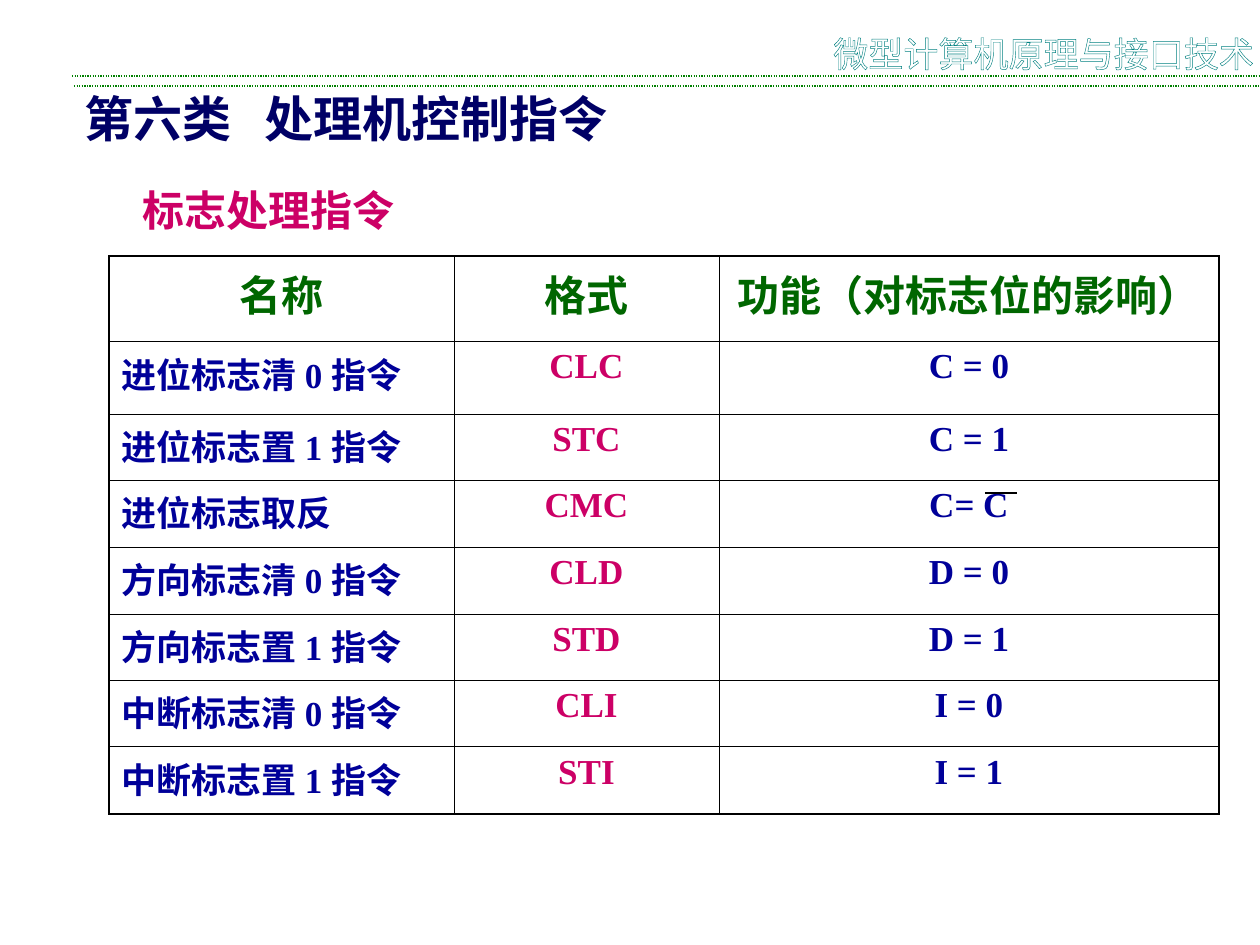
from pptx import Presentation
from pptx.dml.color import RGBColor
from pptx.enum.dml import MSO_LINE
from pptx.enum.shapes import MSO_CONNECTOR
from pptx.enum.text import PP_ALIGN
from pptx.oxml.ns import qn
from pptx.util import Pt
from lxml import etree

STRAIGHT = MSO_CONNECTOR.STRAIGHT
DOTTED = MSO_LINE.ROUND_DOT
LEFT, CENTER = PP_ALIGN.LEFT, PP_ALIGN.CENTER

WHITE = RGBColor(0xFF, 0xFF, 0xFF)
BLACK = RGBColor(0, 0, 0)
TEAL = RGBColor(0, 0x80, 0x80)
GREEN = RGBColor(0, 0x80, 0)
DARK_GREEN = RGBColor(0, 0x66, 0)
NAVY = RGBColor(0, 0, 0x66)
BLUE = RGBColor(0, 0, 0x99)
MAGENTA = RGBColor(0xCC, 0, 0x66)

LATIN_FONT = "Times New Roman"
CHINESE_FONT = "Noto Sans CJK SC"
PX_PER_INCH = 126
THIN, THICK = Pt(0.45), Pt(1.08)

COLUMN_WIDTHS = [345, 265, 500]
ROW_HEIGHTS = [85, 73] + [66, 67, 67] * 2
COLUMN_COLORS = [BLUE, MAGENTA, BLUE]
COLUMN_ALIGNMENTS = [LEFT, CENTER, CENTER]
ROWS = [
    ("名称", "格式", "功能（对标志位的影响）"),
    ("进位标志清 0 指令", "CLC", "C = 0"),
    ("进位标志置 1 指令", "STC", "C = 1"),
    ("进位标志取反", "CMC", "C= C"),
    ("方向标志清 0 指令", "CLD", "D = 0"),
    ("方向标志置 1 指令", "STD", "D = 1"),
    ("中断标志清 0 指令", "CLI", "I = 0"),
    ("中断标志置 1 指令", "STI", "I = 1"),
]


def px(value):
    return round(value * 914400 / PX_PER_INCH)


def format_run(run, size, color, bold=True, font_name=LATIN_FONT):
    font = run.font
    font.name = font_name
    font.size = Pt(size)
    font.bold = bold
    font.color.rgb = color
    east_asian = etree.SubElement(font._element, qn("a:ea"))
    east_asian.set("typeface", CHINESE_FONT)


def make_line(tag, width, color):
    line = etree.Element(qn(tag), w=str(width))
    fill = etree.SubElement(line, qn("a:solidFill"))
    etree.SubElement(fill, qn("a:srgbClr"), val=str(color))
    return line


def add_line(slide, left, right, y, color, dash=None):
    line = slide.shapes.add_connector(STRAIGHT, px(left), px(y), px(right), px(y))
    line.line.color.rgb = color
    line.line.width = Pt(0.75)
    if dash:
        line.line.dash_style = dash
    etree.SubElement(line._element.spPr, qn("a:effectLst"))


def add_text_box(slide, text, left, top, width, height, wrap=False):
    box = slide.shapes.add_textbox(px(left), px(top), px(width), px(height))
    box.text_frame.word_wrap = wrap
    box.text_frame.text = text
    return box.text_frame


def add_course_name(slide):
    text_frame = add_text_box(slide, "微型计算机原理与接口技术", 821, 26, 439, 48)
    text_frame.margin_right = 0
    run = text_frame.paragraphs[0].runs[0]
    format_run(run, 20, WHITE, bold=False, font_name=CHINESE_FONT)
    run.font._element.insert(0, make_line("a:ln", Pt(0.75), TEAL))


def add_heading(slide, text, left, top, width, height, size, color, wrap=False):
    text_frame = add_text_box(slide, text, left, top, width, height, wrap)
    format_run(text_frame.paragraphs[0].runs[0], size, color)


def set_borders(cell, row, column):
    last_row, last_column = len(ROWS) - 1, len(COLUMN_WIDTHS) - 1
    outer_sides = {
        "a:lnL": column == 0,
        "a:lnR": column == last_column,
        "a:lnT": row == 0,
        "a:lnB": row == last_row,
    }
    properties = cell._tc.get_or_add_tcPr()
    for index, (tag, outer) in enumerate(outer_sides.items()):
        properties.insert(index, make_line(tag, THICK if outer else THIN, BLACK))


def fill_cell(cell, text, row, column):
    header = row == 0
    cell.fill.background()
    set_borders(cell, row, column)
    cell.text_frame.text = text
    paragraph = cell.text_frame.paragraphs[0]
    paragraph.alignment = CENTER if header else COLUMN_ALIGNMENTS[column]
    paragraph.space_before = Pt(6 if header else 5)
    color = DARK_GREEN if header else COLUMN_COLORS[column]
    format_run(paragraph.runs[0], 24 if header else 20, color)


def add_instruction_table(slide, left, top):
    frame = slide.shapes.add_table(
        len(ROWS), len(COLUMN_WIDTHS), px(left), px(top),
        px(sum(COLUMN_WIDTHS)), px(sum(ROW_HEIGHTS)))
    table = frame.table
    table.first_row = False
    table.horz_banding = False
    for column, width in zip(table.columns, COLUMN_WIDTHS):
        column.width = px(width)
    for row, height in zip(table.rows, ROW_HEIGHTS):
        row.height = px(height)
    for row, texts in enumerate(ROWS):
        for column, text in enumerate(texts):
            fill_cell(table.cell(row, column), text, row, column)


def main():
    presentation = Presentation()
    presentation.slide_width = px(1260)
    presentation.slide_height = px(945)
    slide = presentation.slides.add_slide(presentation.slide_layouts[6])

    add_line(slide, 74, 1260, 86, GREEN, DOTTED)
    add_course_name(slide)
    add_line(slide, 72, 1260, 76, GREEN, DOTTED)
    add_heading(slide, "第六类   处理机控制指令", 72, 82, 746, 72, 28, NAVY, wrap=True)
    add_instruction_table(slide, 109, 256)
    add_line(slide, 985, 1017, 493, BLACK)
    add_heading(slide, "标志处理指令", 130, 178, 277, 63, 24, MAGENTA)

    presentation.save("out.pptx")


if __name__ == "__main__":
    main()
